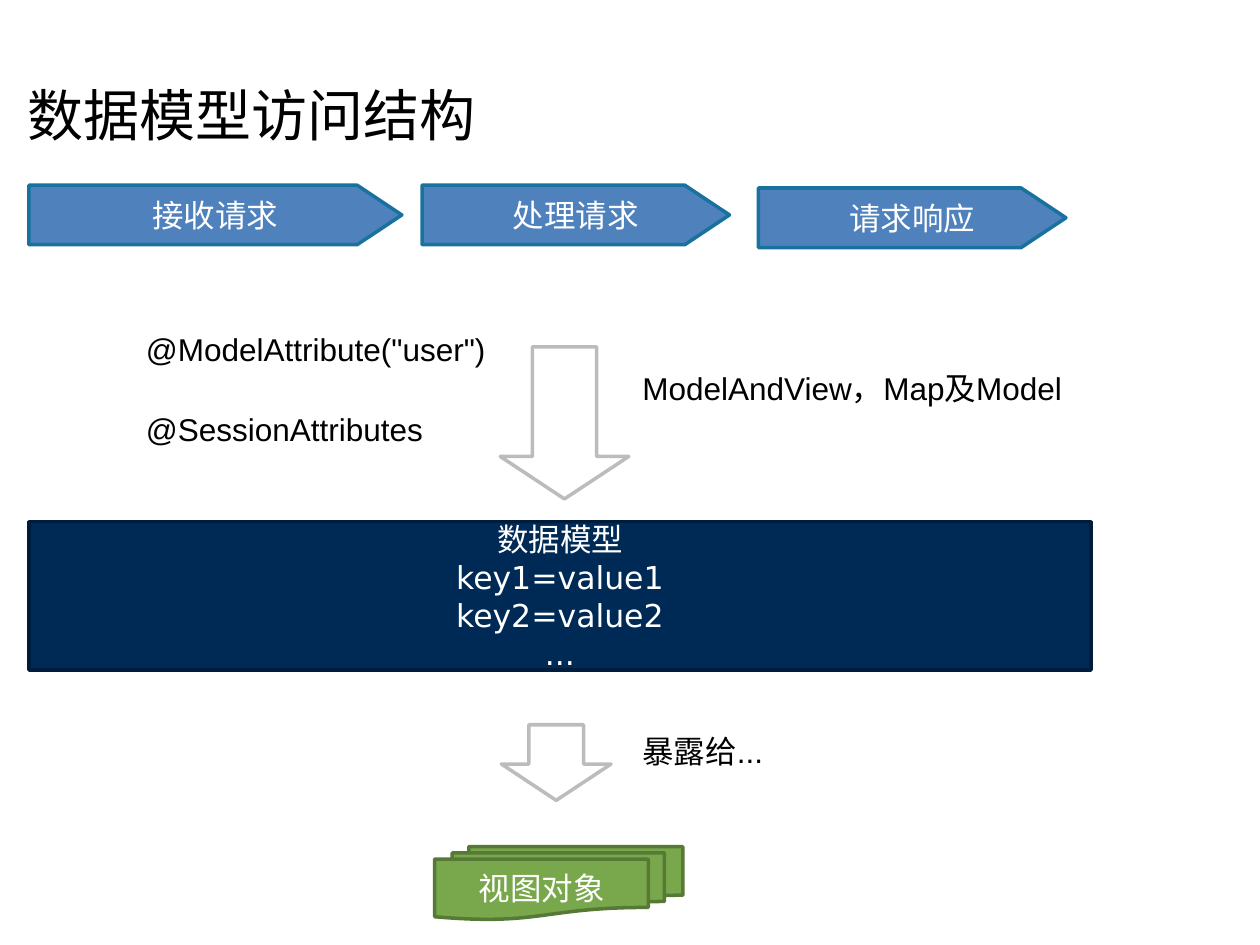
from dataclasses import dataclass

from pptx import Presentation
from pptx.dml.color import RGBColor as Color
from pptx.enum.shapes import MSO_SHAPE as Shape
from pptx.enum.text import MSO_ANCHOR as Anchor, MSO_AUTO_SIZE as AutoSize, PP_ALIGN as Align
from pptx.util import Inches, Pt

WIDTH, HEIGHT = Inches(10), Inches(7.5)


@dataclass(frozen=True)
class Theme:
    """Colours, fonts and type sizes of the slide."""
    ink: str = "000000"
    paper: str = "FFFFFF"
    step: tuple = ("4F81BD", "19729E")
    model: tuple = ("002A56", "001C3D")
    view: tuple = ("78A84B", "567A35")
    flow: tuple = ("FFFFFF", "BCBCBC")
    title_font: str = "Calibri"
    shape_font: str = "DejaVu Sans"
    label_font: str = "Arial"
    title_size: int = 32
    body_size: int = 18
    line_width: int = 2


THEME = Theme()


def across(share):
    """Turn a percentage of the slide width into a length."""
    return round(WIDTH * share / 100)


def down(share):
    """Turn a percentage of the slide height into a length."""
    return round(HEIGHT * share / 100)


def place(left, top, width, height):
    """Turn percentages of the slide into a position and size."""
    return across(left), down(top), across(width), down(height)


def write(shape, lines, font, size, color, align=Align.LEFT, anchor=Anchor.MIDDLE):
    """Write one paragraph per line into a shape."""
    frame = shape.text_frame
    frame.word_wrap = True
    frame.vertical_anchor = anchor
    frame.text = "\n".join(lines)
    for para in frame.paragraphs:
        para.alignment = align
        para.font.name = font
        para.font.size = Pt(size)
        para.font.color.rgb = Color.from_string(color)


def paint(shape, colors):
    """Give a shape its fill and outline, without a shadow."""
    fill, line = colors
    shape.shadow.inherit = False
    shape.fill.solid()
    shape.fill.fore_color.rgb = Color.from_string(fill)
    shape.line.color.rgb = Color.from_string(line)
    shape.line.width = Pt(THEME.line_width)


def caption(shape, *lines):
    """Centre white text in a filled shape."""
    write(shape, lines, THEME.shape_font, THEME.body_size, THEME.paper, Align.CENTER)


def add_title(page, text):
    """Add the slide heading."""
    box = page.shapes.add_textbox(*place(1.2, 3.7, 93.9, 16.7))
    write(box, [text], THEME.title_font, THEME.title_size, THEME.ink)


def add_step(page, text, left, top, width):
    """Add a process step with a pointed right end."""
    x, y, span, height = place(left, top, width, 6.3)
    shoulder = x + span - across(3.55)
    builder = page.shapes.build_freeform(x, y)
    builder.add_line_segments([
        (shoulder, y), (x + span, y + height // 2),
        (shoulder, y + height), (x, y + height)])
    step = builder.convert_to_shape()
    paint(step, THEME.step)
    caption(step, text)


def add_block(page, kind, area, colors, *lines):
    """Add a preset shape with centred lines of text."""
    block = page.shapes.add_shape(kind, *place(*area))
    paint(block, colors)
    caption(block, *lines)


def add_flow(page, area, head):
    """Add a hollow arrow that points down."""
    arrow = page.shapes.add_shape(Shape.DOWN_ARROW, *place(*area))
    arrow.adjustments[1] = head
    paint(arrow, THEME.flow)


def add_label(page, text, left, top, width):
    """Add a plain text label."""
    box = page.shapes.add_textbox(*place(left, top, width, 5.3))
    write(box, [text], THEME.label_font, THEME.body_size, THEME.ink, anchor=Anchor.TOP)
    box.text_frame.auto_size = AutoSize.SHAPE_TO_FIT_TEXT


def main():
    """Build the slide and save the deck."""
    deck = Presentation()
    deck.slide_width, deck.slide_height = WIDTH, HEIGHT
    page = deck.slides.add_slide(deck.slide_layouts[6])

    add_title(page, "数据模型访问结构")
    add_block(page, Shape.RECTANGLE, (2.3, 55.2, 84.3, 15.7), THEME.model,
              "数据模型", "key1=value1", "key2=value2", "...")
    for step in (("接收请求", 2.3, 19.6, 29.6),
                 ("处理请求", 33.5, 19.6, 24.4),
                 ("请求响应", 60.2, 19.9, 24.4)):
        add_step(page, *step)
    for label in (('@ModelAttribute("user")', 10.6, 34.3, 29.9),
                  ("@SessionAttributes", 10.6, 42.7, 29.9),
                  ("ModelAndView，Map及Model", 50, 38.4, 40.2),
                  ("暴露给...", 50, 76.8, 12.6)):
        add_label(page, *label)
    add_flow(page, (39.7, 36.7, 10.2, 16.1), 0.33)
    add_flow(page, (39.8, 76.7, 8.7, 8), 0.48)
    add_block(page, Shape.FLOWCHART_MULTIDOCUMENT, (34.5, 89.6, 19.7, 7.7),
              THEME.view, "视图对象")
    deck.save("out.pptx")


if __name__ == "__main__":
    main()
